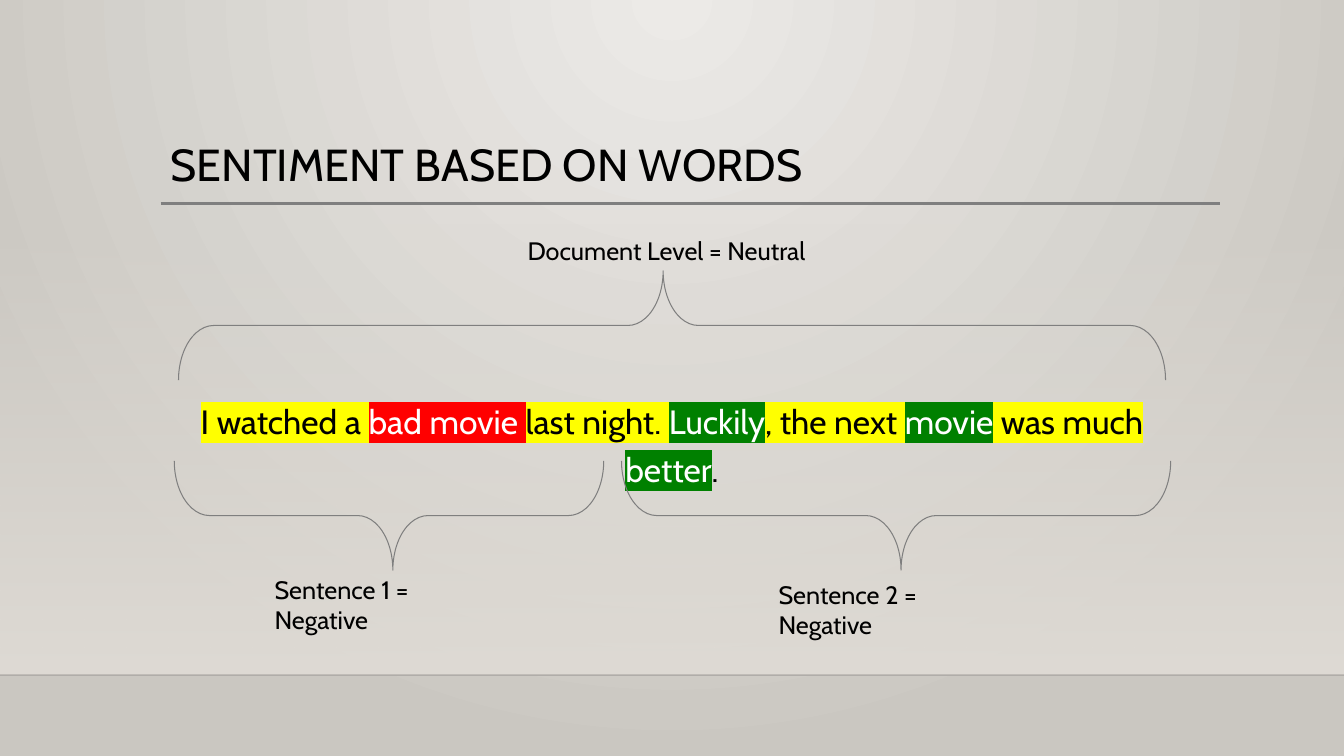
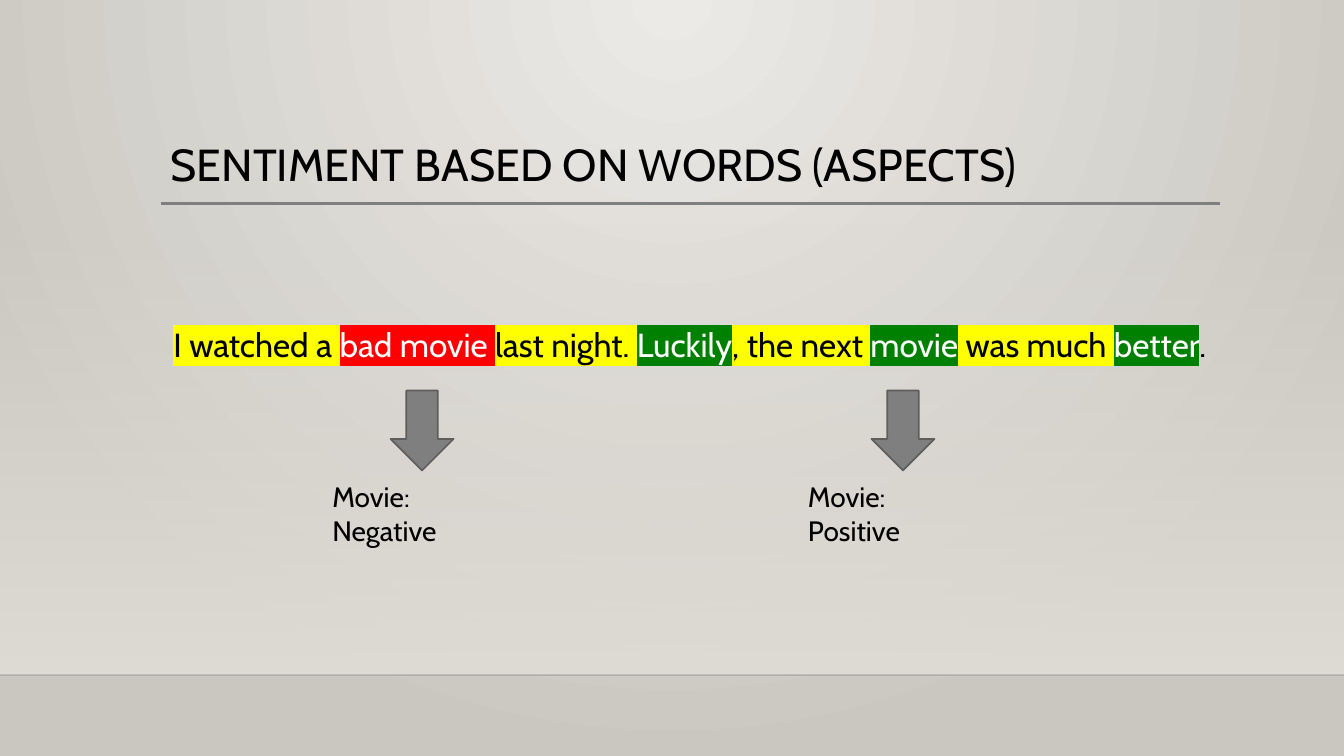
from lxml.etree import SubElement
from pptx import Presentation
from pptx.dml.color import RGBColor
from pptx.enum.shapes import MSO_CONNECTOR as Connector, MSO_SHAPE as Shape
from pptx.enum.text import MSO_ANCHOR as Anchor, PP_ALIGN as Align
from pptx.oxml import parse_xml
from pptx.oxml.ns import nsdecls, qn
from pptx.util import Pt

BLACK = RGBColor(0x00, 0x00, 0x00)
RULE_BLACK = RGBColor(0x00, 0x00, 0x01)
WHITE = RGBColor(0xFF, 0xFF, 0xFF)
GREY = RGBColor(0x7F, 0x7F, 0x7F)
DARK_GREY = RGBColor(0x5E, 0x5E, 0x5E)
LIGHT = RGBColor(0xEC, 0xEA, 0xE7)
SHADE = RGBColor(0xCA, 0xC7, 0xC1)
SAND = RGBColor(0xDF, 0xDB, 0xD5)
YELLOW = RGBColor(0xFF, 0xFF, 0x00)
RED = RGBColor(0xFF, 0x00, 0x00)
GREEN = RGBColor(0x00, 0x80, 0x00)

SCALE = 9525
WIDTH, HEIGHT = 1280, 720
FLOOR = 643
BRACE_DEPTH = 104

REVIEW = [
    ("I watched a ", BLACK, YELLOW),
    ("bad movie ", WHITE, RED),
    ("last night. ", BLACK, YELLOW),
    ("Luckily", WHITE, GREEN),
    (", the next ", BLACK, YELLOW),
    ("movie", WHITE, GREEN),
    (" was much ", BLACK, YELLOW),
    ("better", WHITE, GREEN),
    (".", BLACK, None),
]


def px(*lengths):
    return [round(length * SCALE) for length in lengths]


def apply(target, values):
    for name, value in values.items():
        setattr(target, name, value)


def set_alpha(color_element, percent):
    SubElement(color_element, qn("a:alpha")).set("val", str(percent * 1000))


class Deck:
    font_name = "Cabin"

    def __init__(self):
        self.presentation = Presentation()
        width, height = px(WIDTH, HEIGHT)
        apply(self.presentation, {"slide_width": width, "slide_height": height})
        self.slide = None

    def add_slide(self, title):
        self.slide = self.presentation.slides.add_slide(self.presentation.slide_layouts[6])
        self.background()
        self.band(212, FLOOR)
        self.rule(0, WIDTH, FLOOR, RULE_BLACK, 1, 20)
        self.rule(153, 1162, 194, GREY, 2.5)
        self.text(153, 131, 1008, 64, [(title, BLACK, None)], 32, {"line_spacing": 0.9})

    def gradient(self, fill, colors):
        fill.gradient()
        for stop, color in zip(fill.gradient_stops, colors):
            stop.color.rgb = color

    def background(self):
        self.gradient(self.slide.background.fill, (LIGHT, SHADE))
        linear = self.slide._element.xpath(".//p:bg//a:lin")[0]
        circle = parse_xml(
            f'<a:path {nsdecls("a")} path="circle">'
            '<a:fillToRect l="43000" t="0" r="43000" b="100000"/></a:path>'
        )
        linear.getparent().replace(linear, circle)

    def band(self, top, bottom):
        shape = self.shape(Shape.RECTANGLE, 0, top, WIDTH, bottom - top)
        self.gradient(shape.fill, (SAND, SAND))
        shape.fill.gradient_angle = 270
        set_alpha(shape._element.xpath(".//a:gs/a:srgbClr")[0], 0)

    def rule(self, left, right, y, color, weight, opacity=100):
        line = self.slide.shapes.add_connector(Connector.STRAIGHT, *px(left, y, right, y))
        line.line.color.rgb = color
        line.line.width = Pt(weight)
        if opacity < 100:
            set_alpha(line._element.xpath(".//a:ln//a:srgbClr")[0], opacity)
        SubElement(line._element.spPr, qn("a:effectLst"))

    def shape(self, kind, left, top, width, height, fill=None, line=None, weight=1):
        shape = self.slide.shapes.add_shape(kind, *px(left, top, width, height))
        shape.shadow.inherit = False
        if fill is None:
            shape.fill.background()
        else:
            shape.fill.solid()
            shape.fill.fore_color.rgb = fill
        if line is None:
            shape.line.fill.background()
        else:
            shape.line.color.rgb = line
            shape.line.width = Pt(weight)
        return shape

    def brace(self, left, top, length, rotation):
        offset = (length - BRACE_DEPTH) / 2
        shape = self.shape(Shape.LEFT_BRACE, left + offset, top - offset,
                           BRACE_DEPTH, length, line=GREY, weight=0.75)
        shape.rotation = rotation
        shape.adjustments[0] = 0.323
        shape.adjustments[1] = 0.509

    def arrow(self, left, top):
        self.shape(Shape.DOWN_ARROW, left, top, 60, 76, GREY, DARK_GREY, 1.25)

    def text(self, left, top, width, height, parts, size, paragraph_format=None):
        frame = self.slide.shapes.add_textbox(*px(left, top, width, height)).text_frame
        apply(frame, {"word_wrap": True, "vertical_anchor": Anchor.TOP})
        paragraph = frame.paragraphs[0]
        apply(paragraph, paragraph_format or {})
        for words, color, highlight in parts:
            run = paragraph.add_run()
            run.text = words
            apply(run.font, {"name": self.font_name, "size": Pt(size)})
            run.font.color.rgb = color
            if highlight is not None:
                run.font._element.find(qn("a:solidFill")).addnext(parse_xml(
                    f'<a:highlight {nsdecls("a")}><a:srgbClr val="{highlight}"/></a:highlight>'
                ))

    def review(self, left, top, size, spacing):
        self.text(left, top, 1008, 63, REVIEW, size,
                  {"alignment": Align.CENTER, "line_spacing": spacing})

    def label(self, left, top, width, height, words, size):
        self.text(left, top, width, height, [(words, BLACK, None)], size)


def main():
    deck = Deck()

    deck.add_slide("SENTIMENT BASED ON WORDS")
    deck.review(136, 369, 24, 1.2)
    deck.brace(170, 258, 940, 90)
    deck.label(493, 219, 300, 38, "Document Level = Neutral", 18)
    deck.brace(166, 439, 409, 270)
    deck.brace(592, 439, 523, 270)
    deck.label(252, 542, 172, 67, "Sentence 1 = Negative", 18)
    deck.label(732, 547, 172, 67, "Sentence 2 = Negative", 18)

    deck.add_slide("SENTIMENT BASED ON WORDS (ASPECTS)")
    deck.review(153, 300, 23.8, 1.1)
    for arrow_left, label_left, verdict in ((372, 307, "Negative"), (830, 760, "Positive")):
        deck.arrow(arrow_left, 372)
        deck.label(label_left, 452, 134, 74, f"Movie:\t{verdict}", 20)

    deck.presentation.save("out.pptx")


if __name__ == "__main__":
    main()
